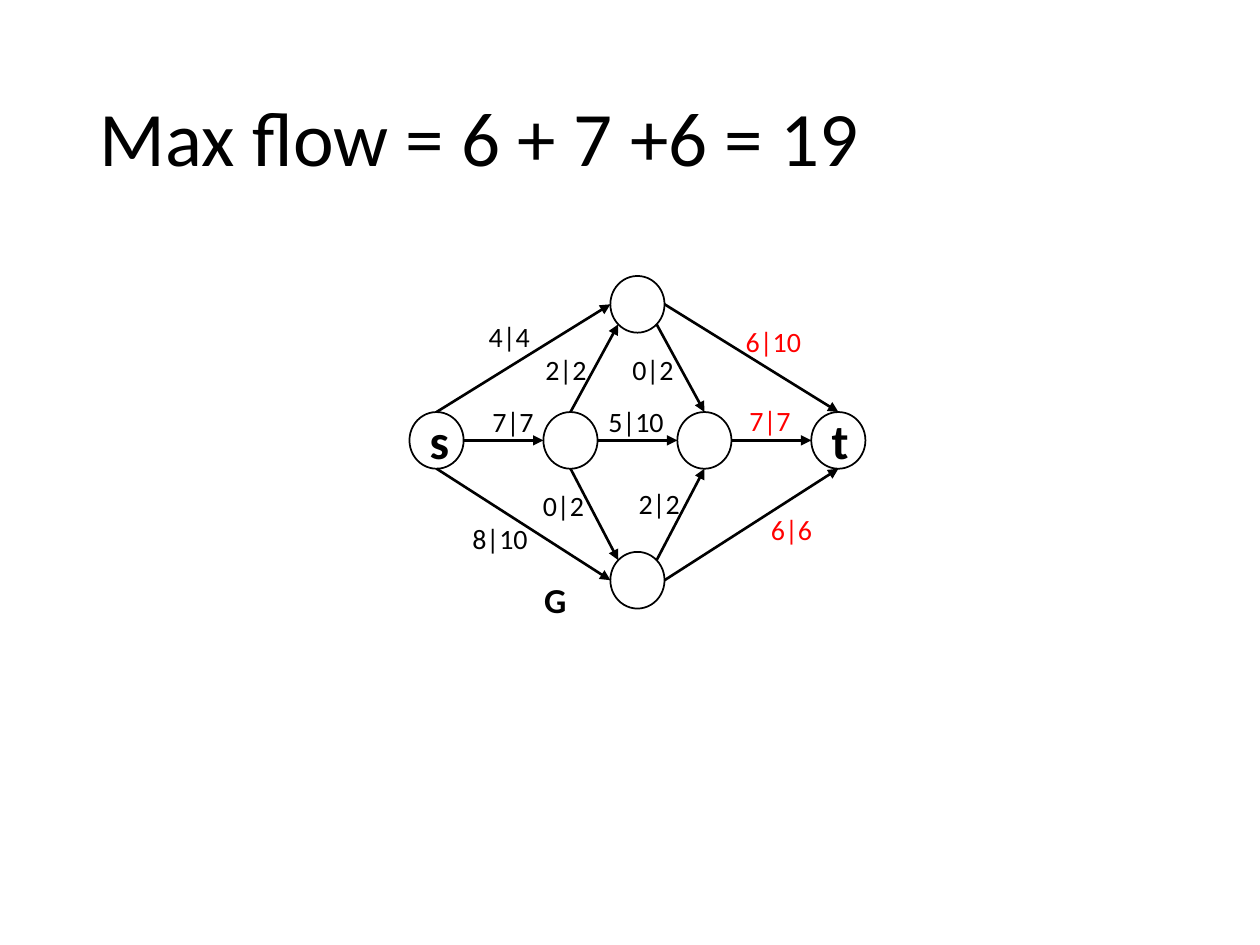
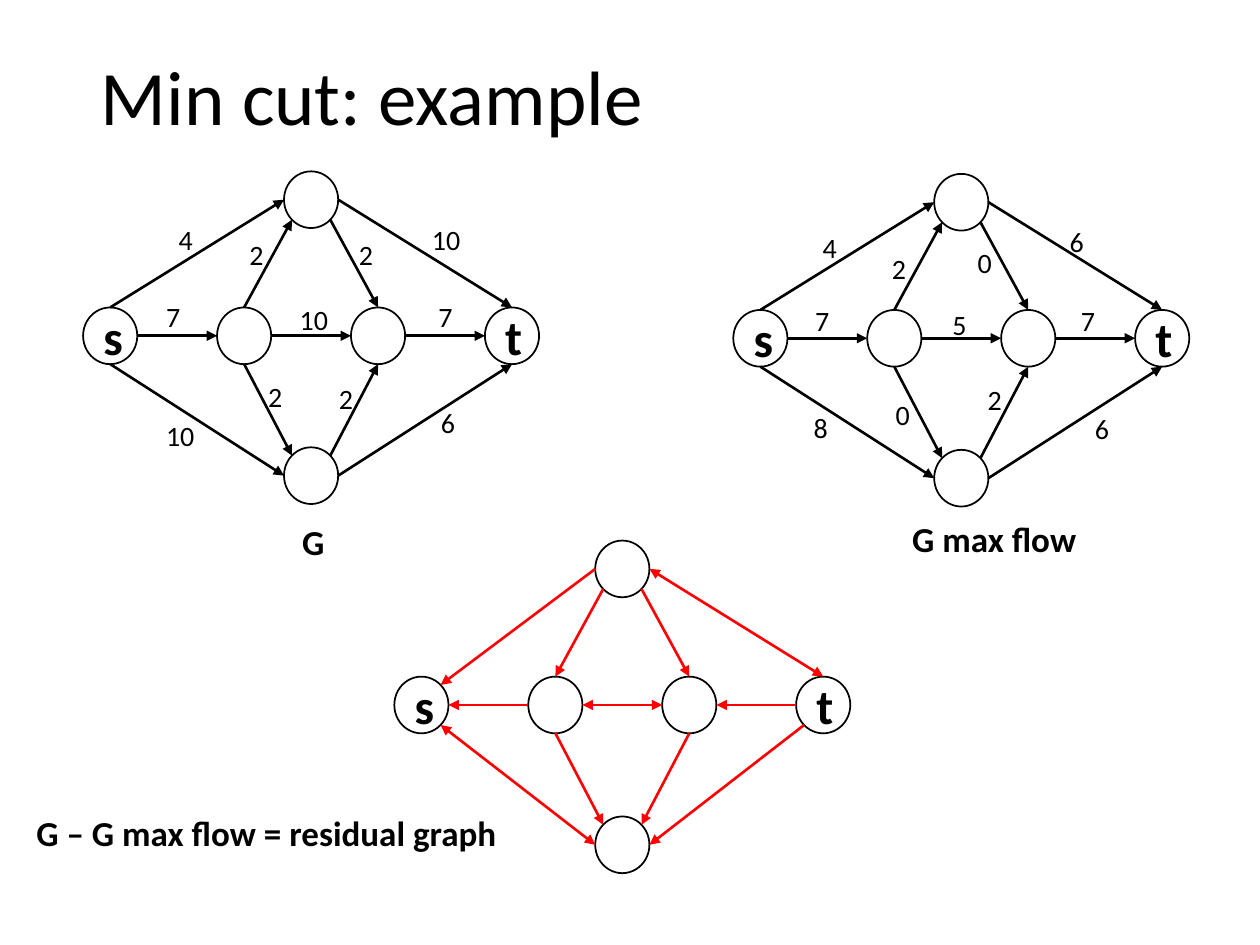
from dataclasses import dataclass
from math import sqrt

from lxml.etree import SubElement
from pptx import Presentation
from pptx.dml.color import RGBColor
from pptx.enum.shapes import MSO_CONNECTOR as Connector, MSO_SHAPE as Preset
from pptx.enum.text import MSO_ANCHOR as Anchor, MSO_AUTO_SIZE as AutoSize, PP_ALIGN as Align
from pptx.oxml.ns import qn
from pptx.util import Inches, Pt


@dataclass(frozen=True)
class Theme:
    font: str = "Calibri"
    ink: str = "000000"
    paper: str = "FFFFFF"
    accent: str = "FF0000"
    title_size: int = 44
    node_size: int = 28
    caption_size: int = 20
    label_size: int = 16
    node_line: float = 1
    edge_line: float = 1.5


theme = Theme()

NODE_WIDTH, NODE_HEIGHT = 0.43, 0.45
COLUMN = 1.063
NODES = {
    "s": (0, 0, "s"),
    "left": (COLUMN, 0, ""),
    "right": (2 * COLUMN, 0, ""),
    "t": (3 * COLUMN, 0, "t"),
    "top": (1.5 * COLUMN, -1.08, ""),
    "bottom": (1.5 * COLUMN, 1.11, ""),
}

NEAR, FAR = (1 - sqrt(0.5)) / 2, (1 + sqrt(0.5)) / 2
SITES = {
    "N": (0.5, 0), "S": (0.5, 1), "W": (0, 0.5), "E": (1, 0.5),
    "NW": (NEAR, NEAR), "NE": (FAR, NEAR), "SW": (NEAR, FAR), "SE": (FAR, FAR),
}

FLOW_EDGES = [
    ("s", "N", "top", "W", False),
    ("s", "E", "left", "W", False),
    ("s", "S", "bottom", "W", False),
    ("left", "N", "top", "SW", False),
    ("left", "E", "right", "W", False),
    ("left", "S", "bottom", "NW", False),
    ("top", "SE", "right", "N", False),
    ("bottom", "NE", "right", "S", False),
    ("top", "E", "t", "N", False),
    ("right", "E", "t", "W", False),
    ("bottom", "E", "t", "S", False),
]
RESIDUAL_EDGES = [
    ("top", "W", "s", "NE", False),
    ("left", "W", "s", "E", False),
    ("s", "SE", "bottom", "W", True),
    ("top", "SW", "left", "N", False),
    ("right", "W", "left", "E", True),
    ("left", "S", "bottom", "NW", False),
    ("top", "SE", "right", "N", False),
    ("right", "S", "bottom", "NE", False),
    ("top", "E", "t", "N", True),
    ("t", "W", "right", "E", False),
    ("t", "SW", "bottom", "E", False),
]

SLIDES = [
    {
        "title": ("Max flow = 6 + 7 +6 = 19", 0.69, 0.4),
        "graphs": [
            {
                "origin": (3.25, 3.27), "edges": FLOW_EDGES, "colour": theme.ink,
                "labels": [
                    ("4|4", 3.78, 2.49), ("7|7", 3.81, 3.16), ("8|10", 3.65, 4.09),
                    ("2|2", 4.23, 2.75), ("5|10", 4.73, 3.16), ("0|2", 4.21, 3.83),
                    ("0|2", 4.92, 2.75), ("2|2", 4.97, 3.81),
                ],
                "cut_labels": [("6|10", 5.82, 2.53), ("7|7", 5.85, 3.15), ("6|6", 6.02, 4.02)],
                "caption": ("G", 4.22, 4.54, 0.38),
            },
        ],
    },
    {
        "title": ("Min cut: example", 0.7, 0.07),
        "graphs": [
            {
                "origin": (0.66, 2.44), "edges": FLOW_EDGES, "colour": theme.ink,
                "labels": [
                    ("4", 1.32, 1.72), ("7", 1.22, 2.33), ("10", 1.22, 3.27),
                    ("2", 1.88, 1.84), ("10", 2.28, 2.35), ("2", 2.03, 2.96),
                    ("2", 2.75, 1.84), ("2", 2.59, 2.98),
                    ("10", 3.33, 1.72), ("7", 3.38, 2.33), ("6", 3.4, 3.17),
                ],
                "cut_labels": [],
                "caption": ("G", 2.3, 4.08, 0.38),
            },
            {
                "origin": (5.82, 2.46), "edges": FLOW_EDGES, "colour": theme.ink,
                "labels": [
                    ("4", 6.43, 1.78), ("7", 6.37, 2.36), ("8", 6.36, 3.21),
                    ("2", 6.98, 1.95), ("5", 7.46, 2.39), ("0", 7.01, 3.11),
                    ("0", 7.66, 1.9), ("2", 7.74, 2.99),
                    ("6", 8.39, 1.73), ("7", 8.48, 2.36), ("6", 8.59, 3.22),
                ],
                "cut_labels": [],
                "caption": ("G max flow", 7.14, 4.06, 1.52),
            },
            {
                "origin": (3.13, 5.37), "edges": RESIDUAL_EDGES, "colour": theme.accent,
                "labels": [],
                "cut_labels": [],
                "caption": ("G – G max flow = residual graph", 0.19, 6.39, 3.89),
            },
        ],
    },
]


def apply(target, values):
    for attribute, value in values.items():
        setattr(target, attribute, value)


def write(shape, text, size, colour=theme.ink, bold=False, frame=None, paragraph=None):
    apply(shape.text_frame, frame or {})
    line = shape.text_frame.paragraphs[0]
    apply(line, paragraph or {})
    run = line.add_run()
    run.text = text
    apply(run.font, {"name": theme.font, "size": Pt(size), "bold": bold})
    run.font.color.rgb = RGBColor.from_string(colour)


def add_title(slide, text, left, top):
    title = slide.shapes.title
    apply(title, {"left": Inches(left), "top": Inches(top),
                  "width": Inches(8.62), "height": Inches(1.45)})
    write(title, text, theme.title_size,
          frame={"vertical_anchor": Anchor.MIDDLE, "auto_size": AutoSize.NONE, "word_wrap": True},
          paragraph={"alignment": Align.LEFT, "line_spacing": 0.9})


def add_note(slide, text, left, top, width, height, size, **style):
    note = slide.shapes.add_textbox(*map(Inches, (left, top, width, height)))
    write(note, text, size, **style,
          frame={"word_wrap": False, "auto_size": AutoSize.SHAPE_TO_FIT_TEXT})


def add_node(slide, origin, across, down, name):
    node = slide.shapes.add_shape(
        Preset.OVAL, Inches(origin[0] + across), Inches(origin[1] + down),
        Inches(NODE_WIDTH), Inches(NODE_HEIGHT))
    node.shadow.inherit = False
    node.fill.solid()
    node.fill.fore_color.rgb = RGBColor.from_string(theme.paper)
    node.line.color.rgb = RGBColor.from_string(theme.ink)
    node.line.width = Pt(theme.node_line)
    if name:
        write(node, name, theme.node_size, bold=True,
              frame={"vertical_anchor": Anchor.MIDDLE}, paragraph={"alignment": Align.CENTER})


def site_point(origin, node, site):
    across, down, _ = NODES[node]
    x, y = SITES[site]
    return (Inches(origin[0] + across + x * NODE_WIDTH),
            Inches(origin[1] + down + y * NODE_HEIGHT))


def add_edge(slide, origin, colour, source, leaving, target, entering, two_way):
    edge = slide.shapes.add_connector(
        Connector.STRAIGHT, *site_point(origin, source, leaving),
        *site_point(origin, target, entering))
    edge.line.color.rgb = RGBColor.from_string(colour)
    edge.line.width = Pt(theme.edge_line)
    outline = edge.line._get_or_add_ln()
    for end in (["headEnd"] if two_way else []) + ["tailEnd"]:
        SubElement(outline, qn(f"a:{end}"), type="triangle")
    SubElement(edge._element.spPr, qn("a:effectLst"))


def add_graph(slide, graph):
    origin = graph["origin"]
    for across, down, name in NODES.values():
        add_node(slide, origin, across, down, name)
    for edge in graph["edges"]:
        add_edge(slide, origin, graph["colour"], *edge)
    for group, colour in (("labels", theme.ink), ("cut_labels", theme.accent)):
        for text, left, top in graph[group]:
            add_note(slide, text, left, top, 0.21 + 0.11 * len(text), 0.37,
                     theme.label_size, colour=colour)
    add_note(slide, *graph["caption"], 0.44, theme.caption_size, bold=True)


deck = Presentation()
apply(deck, {"slide_width": Inches(10), "slide_height": Inches(7.5)})
title_only = deck.slide_layouts[5]
for content in SLIDES:
    slide = deck.slides.add_slide(title_only)
    add_title(slide, *content["title"])
    for graph in content["graphs"]:
        add_graph(slide, graph)
deck.save("out.pptx")
